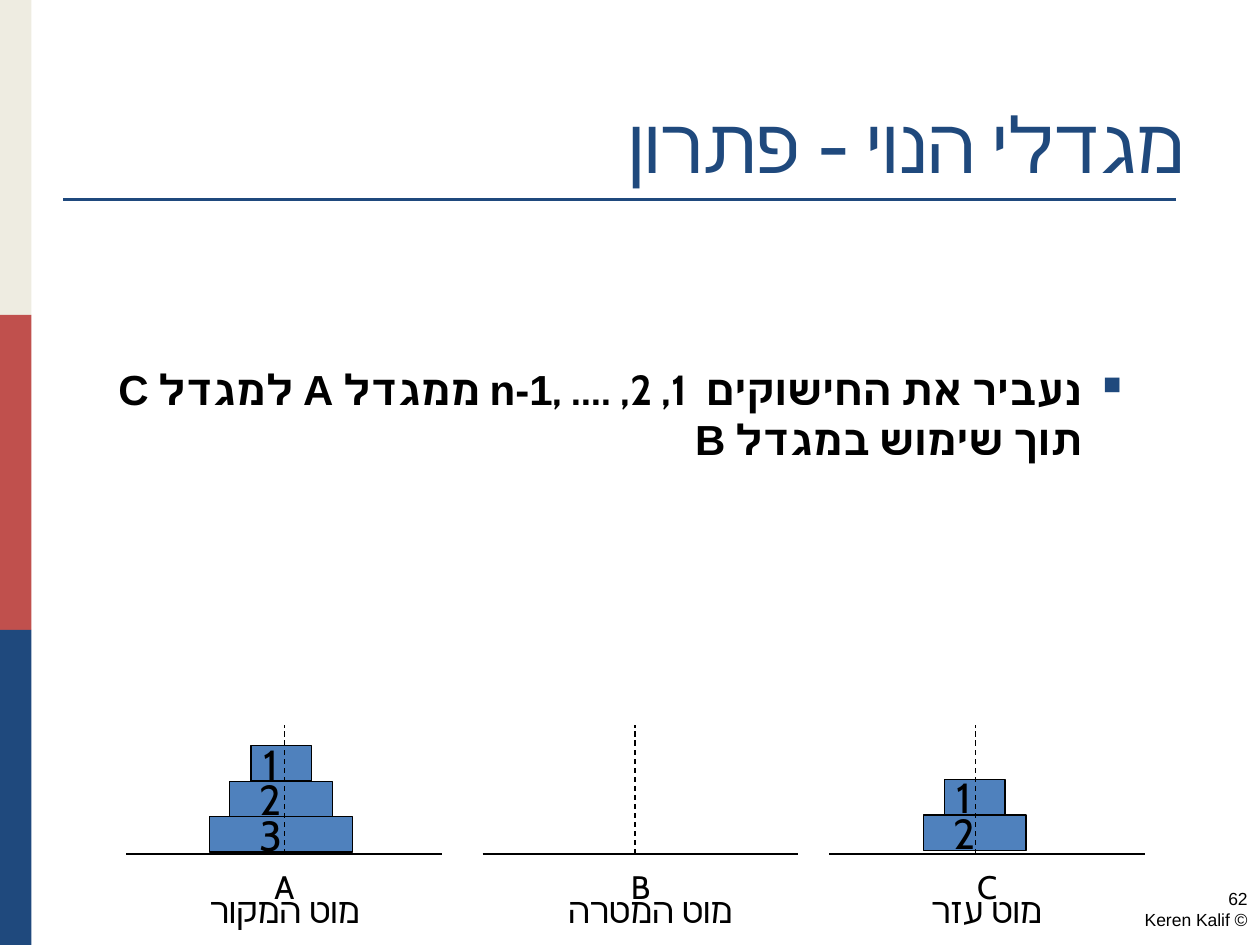
from lxml import etree
from pptx import Presentation
from pptx.dml.color import RGBColor
from pptx.enum.dml import MSO_LINE
from pptx.enum.shapes import MSO_CONNECTOR, MSO_SHAPE
from pptx.enum.text import MSO_ANCHOR, PP_ALIGN
from pptx.oxml.ns import qn
from pptx.util import Pt

RECT = MSO_SHAPE.RECTANGLE
LINE = MSO_CONNECTOR.STRAIGHT
DASH = MSO_LINE.DASH
TOP, MID, BOTTOM = MSO_ANCHOR.TOP, MSO_ANCHOR.MIDDLE, MSO_ANCHOR.BOTTOM
CENTER, RIGHT = PP_ALIGN.CENTER, PP_ALIGN.RIGHT

BLACK = RGBColor(0, 0, 0)
NAVY = RGBColor(0x1F, 0x49, 0x7D)
RED = RGBColor(0xC0, 0x50, 0x4D)
CREAM = RGBColor(0xEE, 0xEC, 0xE1)
BLUE = RGBColor(0x4F, 0x81, 0xBD)

TITLE = "מגדלי הנוי - פתרון"
BODY = "נעביר את החישוקים  1, 2, .... ,n-1 ממגדל A למגדל C תוך שימוש במגדל B"
FOOTER = [("62", "DejaVu Sans"), ("© Keren Kalif", "Arial")]
BANDS = [CREAM, RED, NAVY]
DISCS = {"1": 34.5, "2": 58.5, "3": 81.5}
TOWERS = [
    {"name": "A", "role": "מוט המקור", "mid": 162.4, "rod": 162.4,
     "label": 162.7, "pile": 160.6, "foot": 487, "discs": "321"},
    {"name": "B", "role": "מוט המטרה", "mid": 366, "rod": 362.9,
     "label": 371.5, "pile": 0, "foot": 0, "discs": ""},
    {"name": "C", "role": "מוט עזר", "mid": 564, "rod": 557.3,
     "label": 563.8, "pile": 557, "foot": 486, "discs": "21"},
]
FLOOR, PEAK = 488, 414
BASE, DISC = 180.4, 20.3


def add_bar(x, y, w, h, fill):
    bar = slide.shapes.add_shape(RECT, Pt(x), Pt(y), Pt(w), Pt(h))
    bar.shadow.inherit = False
    bar.fill.solid()
    bar.fill.fore_color.rgb = fill
    bar.line.fill.background()
    return bar


def add_line(x1, y1, x2, y2, color=BLACK, width=0.75, dash=None):
    line = slide.shapes.add_connector(LINE, Pt(x1), Pt(y1), Pt(x2), Pt(y2))
    line.line.color.rgb = color
    line.line.width = Pt(width)
    if dash:
        line.line.dash_style = dash
    etree.SubElement(line._element.spPr, qn("a:effectLst"))


def style(para, text, size, font, color=BLACK, align=CENTER, rtl=False,
          script="Cabin"):
    para.text = text
    para.alignment = align
    para.font.size = Pt(size)
    para.font.name = font
    para.font.color.rgb = color
    props = para._p.pPr
    if rtl:
        props.set("rtl", "1")
    chars = props.find(qn("a:defRPr"))
    etree.SubElement(chars, qn("a:cs"), typeface=script)
    return chars


def add_box(x, y, w, h, anchor=TOP):
    frame = slide.shapes.add_textbox(Pt(x), Pt(y), Pt(w), Pt(h)).text_frame
    frame.word_wrap = True
    frame.vertical_anchor = anchor
    return frame


def add_bullet(para):
    props = para._p.pPr
    props.set("lvl", "1")
    props.set("marL", str(Pt(58.5)))
    props.set("indent", str(-Pt(22.5)))
    color = etree.Element(qn("a:buClr"))
    etree.SubElement(color, qn("a:srgbClr"), val=str(NAVY))
    size = etree.Element(qn("a:buSzPct"), val="60000")
    char = etree.Element(qn("a:buChar"), char="■")
    for i, part in enumerate((color, size, char)):
        props.insert(i, part)


def add_disc(name, mid, y):
    wide = DISCS[name]
    disc = add_bar(mid - wide / 2, y, wide, DISC, BLUE)
    disc.line.color.rgb = BLACK
    disc.line.width = Pt(0.75)
    frame = disc.text_frame
    frame.margin_left = frame.margin_top = frame.margin_bottom = 0
    frame.margin_right = Pt(12)
    frame.vertical_anchor = MID
    style(frame.paragraphs[0], name, 24, "Cabin")


def add_tower(tower):
    mid, rod = tower["mid"], tower["rod"]
    for i, name in enumerate(tower["discs"], 1):
        add_disc(name, tower["pile"], tower["foot"] - i * DISC)
    add_line(mid - BASE / 2, FLOOR, mid + BASE / 2, FLOOR)
    frame = add_box(mid - 43.5, FLOOR, 87, 43)
    chars = style(frame.paragraphs[0], tower["name"], 32, "Cabin")
    chars.set("baseline", "30000")
    frame = add_box(tower["label"] - 55.5, 504, 111, 29.5)
    style(frame.paragraphs[0], tower["role"], 20, "Arial")
    add_line(rod, FLOOR, rod, PEAK, dash=DASH)


prs = Presentation()
prs.slide_width, prs.slide_height = Pt(720), Pt(540)
slide = prs.slides.add_slide(prs.slide_layouts[6])

for i, color in enumerate(BANDS):
    add_bar(0, i * 180, 18, 180, color)
add_line(36, 114, 672, 114, NAVY, 1.5)

frame = add_box(36, 21.6, 648, 90, BOTTOM)
style(frame.paragraphs[0], TITLE, 44, "Times New Roman", NAVY, RIGHT, True)

frame = add_box(36, 204, 648, 66)
para = frame.paragraphs[0]
style(para, BODY, 24, "Arial", BLACK, RIGHT, True)
para.font.bold = True
add_bullet(para)

for tower in TOWERS:
    add_tower(tower)

frame = add_box(552, 504, 168, 36)
for i, (text, font) in enumerate(FOOTER):
    para = frame.add_paragraph() if i else frame.paragraphs[0]
    style(para, text, 10, font, BLACK, RIGHT, True, "Arial")

prs.save("out.pptx")
